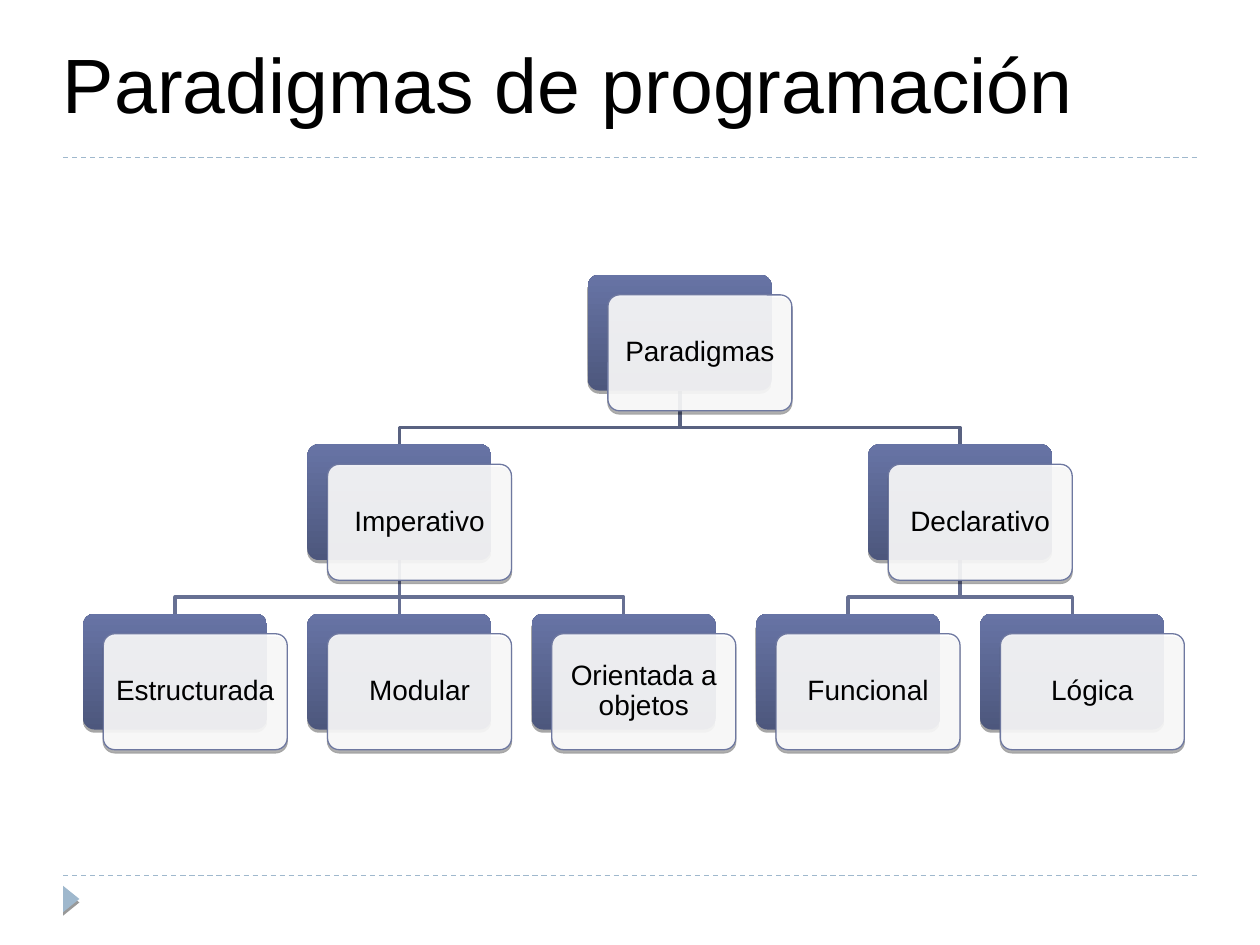
from lxml import etree
from pptx import Presentation
from pptx.dml.color import RGBColor
from pptx.enum.dml import MSO_LINE
from pptx.enum.shapes import MSO_CONNECTOR, MSO_SHAPE
from pptx.enum.text import MSO_ANCHOR, PP_ALIGN
from pptx.oxml.ns import qn
from pptx.util import Inches, Pt

DASH = MSO_LINE.DASH
STRAIGHT = MSO_CONNECTOR.STRAIGHT
ROUNDED = MSO_SHAPE.ROUNDED_RECTANGLE
TRIANGLE = MSO_SHAPE.ISOSCELES_TRIANGLE
MIDDLE = MSO_ANCHOR.MIDDLE
LEFT, CENTER = PP_ALIGN.LEFT, PP_ALIGN.CENTER

BLACK = RGBColor(0x00, 0x00, 0x00)
WHITE = RGBColor(0xFF, 0xFF, 0xFF)
RULE = RGBColor(0x9F, 0xB8, 0xCD)
DARK = RGBColor(0x4D, 0x57, 0x7D)
LIGHT = RGBColor(0x67, 0x74, 0xA5)
BORDER = RGBColor(0x6E, 0x78, 0xA0)
LINKS = [RGBColor(0x59, 0x62, 0x81), RGBColor(0x67, 0x70, 0x93)]

WIDTH, HEIGHT = 10, 7.5
MARGIN = 0.05 * WIDTH
COLS, ROWS = 5, 3
CARD_W, CARD_H = 1.46, 0.92
OFFSET = 0.16
INSET = 0.06
ELBOW = 0.69

TREE = ("Paradigmas", [
    ("Imperativo", [("Estructurada", []), ("Modular", []), ("Orientada a objetos", [])]),
    ("Declarativo", [("Funcional", []), ("Lógica", [])]),
])


def write(sp, text, size, align, inset=0.0, after=0):
    tf = sp.text_frame
    tf.word_wrap = True
    tf.vertical_anchor = MIDDLE
    tf.margin_left = tf.margin_right = Inches(inset)
    tf.margin_top = tf.margin_bottom = Inches(inset)
    p = tf.paragraphs[0]
    p.alignment = align
    p.line_spacing = 0.9
    p.space_after = Pt(after)
    r = p.add_run()
    r.text = text
    r.font.name = "Arial"
    r.font.size = Pt(size)
    r.font.color.rgb = BLACK


def add_alpha(color, percent):
    etree.SubElement(color, qn("a:alpha"), val=str(percent * 1000))


def add_shadow(sp, distance, percent):
    sp.shadow.inherit = False
    effects = sp.element.spPr.find(qn("a:effectLst"))
    shadow = etree.SubElement(effects, qn("a:outerShdw"), blurRad="0",
                              dist=str(Pt(distance)), dir="5400000", rotWithShape="0")
    add_alpha(etree.SubElement(shadow, qn("a:srgbClr"), val=str(BLACK)), percent)


def add_line(slide, x1, y1, x2, y2, color, weight):
    s = slide.shapes.add_connector(STRAIGHT, *map(Inches, (x1, y1, x2, y2)))
    s.line.color.rgb = color
    s.line.width = Pt(weight)
    etree.SubElement(s.element.spPr, qn("a:effectLst"))
    return s


def add_frame(slide, left, width):
    for y in (6.95, 1.25):
        add_line(slide, left, y, left + width, y, RULE, 0.75).line.dash_style = DASH
    s = slide.shapes.add_shape(TRIANGLE, *map(Inches, (left - 0.04, 7.07, 0.21, 0.13)))
    s.rotation = 90
    s.fill.solid()
    s.fill.fore_color.rgb = RULE
    s.line.fill.background()
    add_shadow(s, 2, 40)


def add_title(slide, left, top, width, height):
    s = slide.shapes.add_textbox(*map(Inches, (left, top, width, height)))
    write(s, "Paradigmas de programación", 44, LEFT)


def place(node, row=0, first=0):
    text, children = node
    placed = []
    for child in children:
        placed.append(place(child, row + 1, first))
        first = placed[-1]["next"]
    col = (placed[0]["col"] + placed[-1]["col"]) / 2 if placed else first
    return {"text": text, "row": row, "col": col, "children": placed,
            "next": first if placed else first + 1}


def walk(node):
    yield node
    for child in node["children"]:
        yield from walk(child)


def add_link(slide, x1, y1, x2, y2, color):
    if x1 == x2:
        add_line(slide, x1, y1, x2, y2, color, 2)
        return
    bend = y1 + ELBOW * (y2 - y1)
    points = [(Inches(x), Inches(y)) for x, y in ((x1, bend), (x2, bend), (x2, y2))]
    path = slide.shapes.build_freeform(Inches(x1), Inches(y1))
    path.add_line_segments(points, close=False)
    s = path.convert_to_shape()
    s.fill.background()
    s.line.color.rgb = color
    s.line.width = Pt(2)
    s.shadow.inherit = False


def add_panel(slide, x, y):
    s = slide.shapes.add_shape(ROUNDED, *map(Inches, (x, y, CARD_W, CARD_H)))
    s.adjustments[0] = 0.1
    add_shadow(s, 1.8, 35)
    return s


def add_card(slide, x, y, text):
    back = add_panel(slide, x, y)
    back.fill.gradient()
    back.fill.gradient_angle = 90
    for stop, color in zip(back.fill.gradient_stops, (DARK, LIGHT)):
        stop.color.rgb = color
    back.line.fill.background()
    front = add_panel(slide, x + OFFSET, y + OFFSET)
    front.fill.solid()
    front.fill.fore_color.rgb = WHITE
    add_alpha(front.element.spPr.find(qn("a:solidFill"))[0], 90)
    front.line.color.rgb = BORDER
    front.line.width = Pt(0.75)
    write(front, text, 16, CENTER, inset=INSET, after=7)


def add_tree(slide, left, top, width, height):
    step_x = (width - CARD_W - OFFSET) / (COLS - 1)
    step_y = (height - CARD_H - OFFSET) / (ROWS - 1)

    def corner(node):
        return left + node["col"] * step_x, top + node["row"] * step_y

    nodes = list(walk(place(TREE)))
    for node in reversed(nodes):
        x, y = corner(node)
        for child in reversed(node["children"]):
            child_x, child_y = corner(child)
            add_link(slide, x + CARD_W / 2, y + CARD_H,
                     child_x + CARD_W / 2, child_y, LINKS[node["row"]])
    for node in nodes:
        add_card(slide, *corner(node), node["text"])


def main():
    prs = Presentation()
    prs.slide_width, prs.slide_height = Inches(WIDTH), Inches(HEIGHT)
    slide = prs.slides.add_slide(prs.slide_layouts[6])
    content = WIDTH - 2 * MARGIN
    add_frame(slide, MARGIN, content)
    add_title(slide, MARGIN, 0.37, content, 0.67)
    add_tree(slide, 0.66, 2.18, 8.74, 3.77)
    prs.save("out.pptx")


if __name__ == "__main__":
    main()
